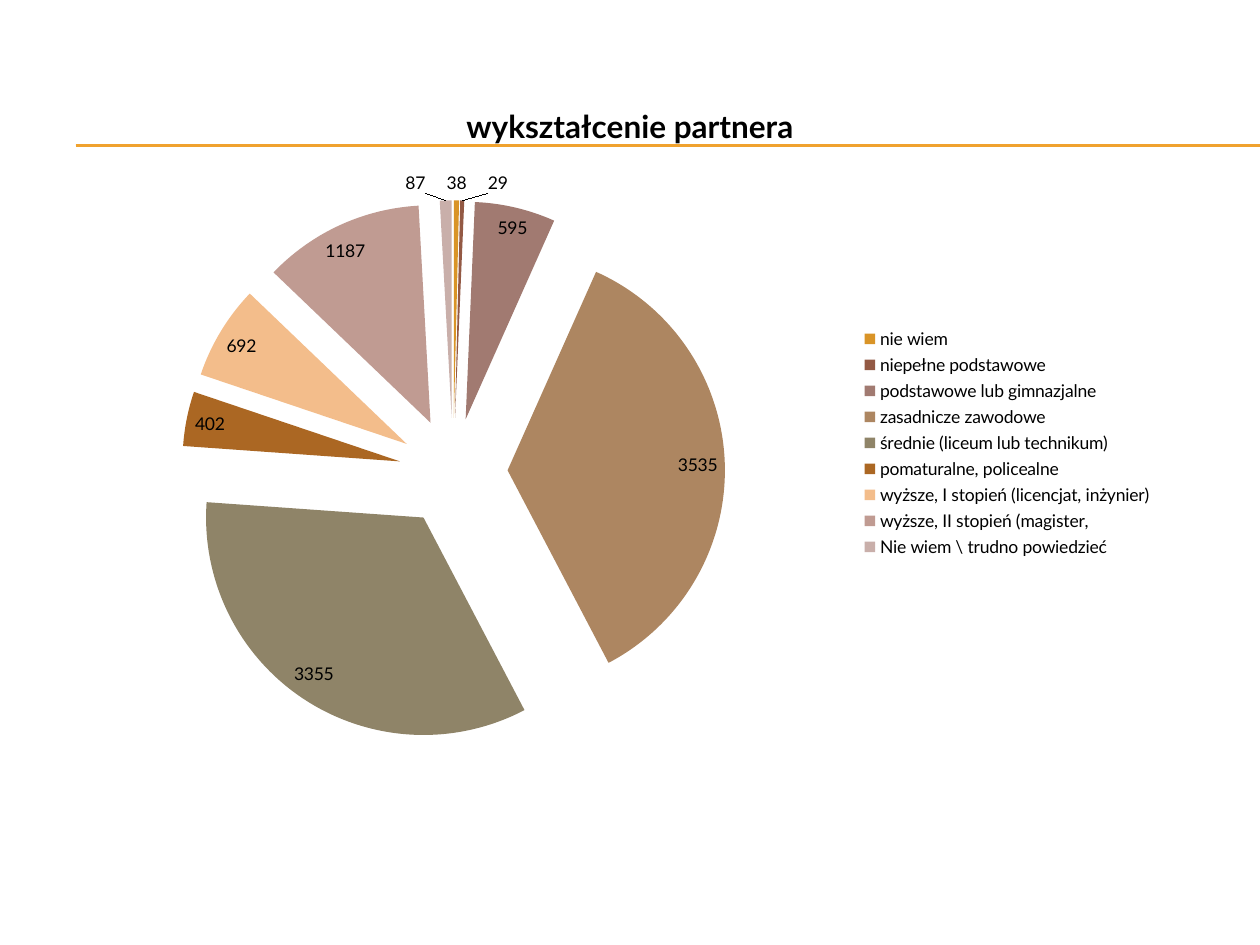
from lxml import etree
from pptx import Presentation
from pptx.chart.data import CategoryChartData as Data
from pptx.dml.color import RGBColor as RGB
from pptx.enum.chart import XL_CHART_TYPE as Kind
from pptx.enum.chart import XL_LABEL_POSITION as Spot
from pptx.enum.chart import XL_LEGEND_POSITION as Side
from pptx.enum.shapes import MSO_CONNECTOR as Link
from pptx.oxml import parse_xml
from pptx.oxml.ns import nsdecls, qn
from pptx.util import Inches, Pt

WIDE, HIGH = Inches(10), Inches(7.5)
FONT = "Lato"
HEX = {"ink": "000000", "rule": "F0A22E"}
TITLE = "wykształcenie partnera"
PARTS = [
    ("nie wiem", 38, "D99427"),
    ("niepełne podstawowe", 29, "935944"),
    ("podstawowe lub gimnazjalne", 595, "A17A71"),
    ("zasadnicze zawodowe", 3535, "AD8661"),
    ("średnie (liceum lub technikum)", 3355, "8F8468"),
    ("pomaturalne, policealne", 402, "AB6723"),
    ("wyższe, I stopień (licencjat, inżynier)", 692, "F3BD8B"),
    ("wyższe, II stopień (magister,", 1187, "C09B92"),
    ("Nie wiem \\ trudno powiedzieć", 87, "C9AFAA"),
]


def style(font, size, bold=False):
    """Set face, size and colour of a font."""
    font.name, font.size, font.bold = FONT, Pt(size), bold
    font.color.rgb = RGB.from_string(HEX["ink"])


def add_rules(slide, left, right, tops):
    """Draw level rules; ends and heights are shares of the slide."""
    for top in tops:
        y = int(HIGH * top)
        rule = slide.shapes.add_connector(
            Link.STRAIGHT, int(WIDE * left), y, int(WIDE * right), y)
        rule.line.color.rgb = RGB.from_string(HEX["rule"])
        rule.line.width = Pt(0.75)
        etree.SubElement(rule._element.spPr, qn("a:effectLst"))


def set_plot(chart, x, y, w, h):
    """Fix the inner plot box as shares of the chart."""
    area = chart._chartSpace.chart.plotArea
    for old in area.findall(qn("c:layout")):
        area.remove(old)
    sizes = "".join(f'<c:{tag} val="{val}"/>'
                    for tag, val in zip("xywh", (x, y, w, h)))
    area.insert(0, parse_xml(
        f'<c:layout {nsdecls("c")}><c:manualLayout>'
        '<c:layoutTarget val="inner"/><c:xMode val="edge"/>'
        f'<c:yMode val="edge"/>{sizes}</c:manualLayout></c:layout>'))


def add_pie(slide, left, top, wide, high):
    """Place the split pie in a box given as shares of the slide."""
    data = Data()
    data.categories = [name for name, _, _ in PARTS]
    data.add_series(TITLE, [count for _, count, _ in PARTS])
    chart = slide.shapes.add_chart(
        Kind.PIE_EXPLODED, int(WIDE * left), int(HIGH * top),
        int(WIDE * wide), int(HIGH * high), data).chart
    style(chart.font, 10)

    chart.has_title = True
    head = chart.chart_title.text_frame
    head.text = TITLE
    style(head.paragraphs[0].font, 18, True)

    chart.has_legend = True
    chart.legend.position = Side.RIGHT
    chart.legend.include_in_layout = False
    style(chart.legend.font, 10)

    plot = chart.plots[0]
    plot.vary_by_categories = True
    row = plot.series[0]
    for burst in row._element.findall(qn("c:explosion")):
        burst.set("val", "25")
    for i, (_, _, tone) in enumerate(PARTS):
        fill = row.points[i].format.fill
        fill.solid()
        fill.fore_color.rgb = RGB.from_string(tone)

    plot.has_data_labels = True
    tags = plot.data_labels
    tags.show_value = True
    tags.show_percentage = False
    tags.position = Spot.BEST_FIT
    style(tags.font, 10)
    lead = tags._element.find(qn("c:showLeaderLines"))
    if lead is None:
        lead = etree.SubElement(tags._element, qn("c:showLeaderLines"))
    lead.set("val", "1")
    set_plot(chart, 0.07, 0.17, 0.53, 0.74)


def main():
    """Build the slide and save it."""
    deck = Presentation()
    deck.slide_width, deck.slide_height = WIDE, HIGH
    slide = deck.slides.add_slide(deck.slide_layouts[6])
    add_rules(slide, 0.06, 1, (1.15 / 7.5, 1.16 / 7.5))
    add_pie(slide, 0.075, 0.08, 0.85, 5.83 / 7.5)
    deck.save("out.pptx")


main()
